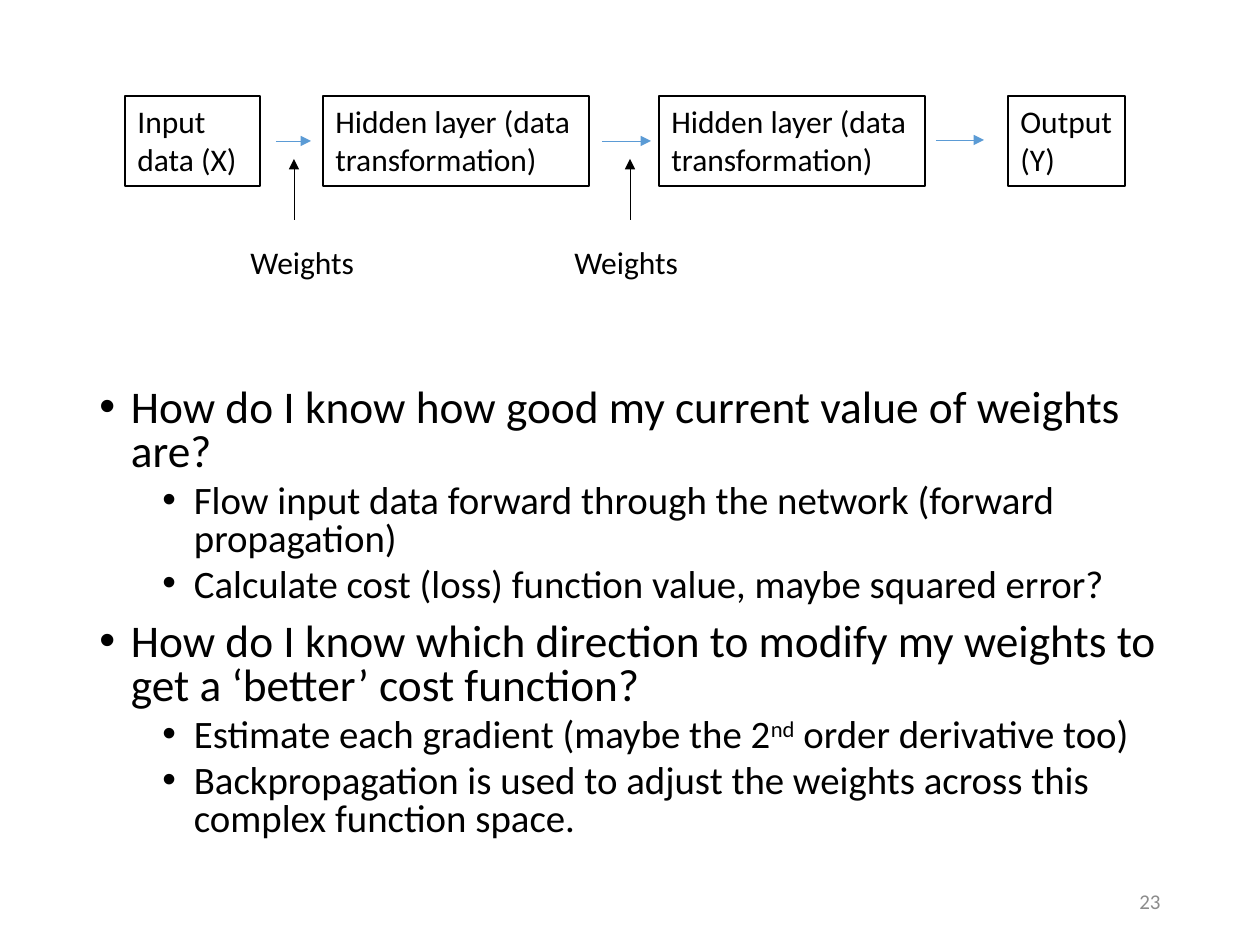
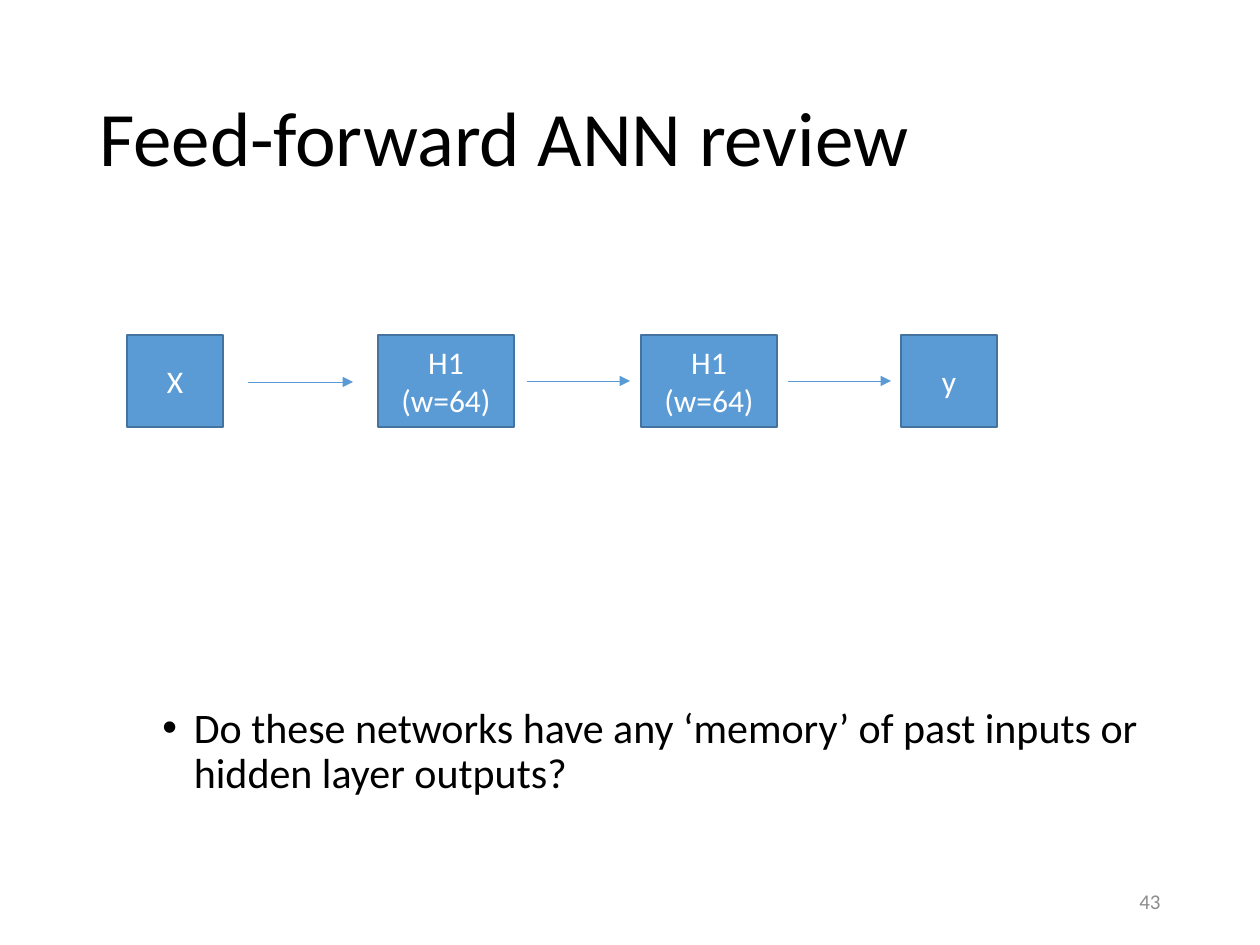
from lxml.etree import SubElement
from pptx import Presentation
from pptx.dml.color import RGBColor
from pptx.enum.shapes import MSO_CONNECTOR, MSO_SHAPE
from pptx.enum.text import MSO_ANCHOR, PP_ALIGN
from pptx.oxml.ns import qn
from pptx.util import Emu, Pt

FONT = "Calibri"
COLORS = {
    "text": "000000",
    "blue": "5B9BD5",
    "blue_edge": "43739E",
    "white": "FFFFFF",
    "page_number": "8C8C8C",
}
MARGIN, CONTENT_WIDTH = 87, 1086

WEIGHTS_PAGE = {
    "number": "23",
    "layers": [
        ("Input data (X)", 125, 135),
        ("Hidden layer (data transformation)", 323, 266),
        ("Hidden layer (data transformation)", 659, 266),
        ("Output (Y)", 1008, 117),
    ],
    "layer_top": 96,
    "layer_height": 90,
    "flows": [(276, 311, 141), (602, 651, 141), (936, 984, 140)],
    "weights": [("Weights", 238, 294), ("Weights", 562, 630)],
    "bullets": [
        (0, ["How do I know how good my current value of weights are?"]),
        (1, ["Flow input data forward through the network (forward propagation)"]),
        (1, ["Calculate cost (loss) function value, maybe squared error?"]),
        (0, ["How do I know which direction to modify my weights to get a ‘better’ cost function?"]),
        (1, ["Estimate each gradient (maybe the 2", "nd", " order derivative too)"]),
        (1, ["Backpropagation is used to adjust the weights across this complex function space."]),
    ],
    "bullet_area": (383, 503),
    "bullet_sizes": (25.9, 22.2),
    "line_spacing": 0.8,
}
REVIEW_PAGE = {
    "number": "43",
    "title": "Feed-forward ANN review",
    "layers": [
        ("X", 127, 96),
        ("H1 (w=64)", 378, 136),
        ("H1 (w=64)", 641, 136),
        ("y", 901, 96),
    ],
    "layer_top": 335,
    "layer_height": 92,
    "flows": [(248, 353, 382), (527, 630, 381), (788, 891, 381)],
    "weights": [],
    "bullets": [
        (1, ["Do these networks have any ‘memory’ of past inputs or hidden layer outputs?"]),
    ],
    "bullet_area": (701, 150),
    "bullet_sizes": (28, 24),
    "line_spacing": 0.9,
    "filled": True,
}


def px(length):
    return Emu(round(length * 914400 / 126))


def color(name):
    return RGBColor.from_string(COLORS[name])


def style(paragraph, size, color_name="text", align=PP_ALIGN.LEFT):
    paragraph.alignment = align
    paragraph.font.name = FONT
    paragraph.font.size = Pt(size)
    paragraph.font.color.rgb = color(color_name)


def add_text(page, text, area, size, color_name="text", align=PP_ALIGN.LEFT,
             anchor=MSO_ANCHOR.TOP, wrap=True):
    box = page.shapes.add_textbox(*map(px, area))
    frame = box.text_frame
    frame.word_wrap = wrap
    frame.vertical_anchor = anchor
    paragraph = frame.paragraphs[0]
    paragraph.text = text
    style(paragraph, size, color_name, align)
    return paragraph


def add_layer(page, text, area, filled):
    box = page.shapes.add_shape(MSO_SHAPE.RECTANGLE, *map(px, area))
    box.shadow.inherit = False
    if filled:
        box.fill.solid()
        box.fill.fore_color.rgb = color("blue")
    else:
        box.fill.background()
    box.line.color.rgb = color("blue_edge" if filled else "text")
    box.line.width = Pt(1 if filled else 0.75)
    frame = box.text_frame
    frame.word_wrap = True
    frame.vertical_anchor = MSO_ANCHOR.MIDDLE if filled else MSO_ANCHOR.TOP
    paragraph = frame.paragraphs[0]
    paragraph.text = text
    style(paragraph, 18, "white" if filled else "text",
          PP_ALIGN.CENTER if filled else PP_ALIGN.LEFT)


def add_arrow(page, start, end, color_name):
    arrow = page.shapes.add_connector(MSO_CONNECTOR.STRAIGHT, *map(px, start + end))
    arrow.line.color.rgb = color(color_name)
    arrow.line.width = Pt(0.5)
    SubElement(arrow.line._get_or_add_ln(), qn("a:tailEnd"), type="triangle")
    SubElement(arrow._element.spPr, qn("a:effectLst"))


def add_bullets(page, content):
    top, height = content["bullet_area"]
    box = page.shapes.add_textbox(*map(px, (MARGIN, top, CONTENT_WIDTH, height)))
    frame = box.text_frame
    frame.word_wrap = True
    for index, (level, parts) in enumerate(content["bullets"]):
        paragraph = frame.paragraphs[0] if index == 0 else frame.add_paragraph()
        paragraph.level = level
        paragraph.line_spacing = content["line_spacing"]
        paragraph.space_before = Pt(5 if level else 10)
        style(paragraph, content["bullet_sizes"][level])
        properties = paragraph._p.get_or_add_pPr()
        properties.set("marL", str(228600 + 457200 * level))
        properties.set("indent", "-228600")
        bullet_font = SubElement(properties, qn("a:buFont"), typeface="Arial")
        bullet = SubElement(properties, qn("a:buChar"), char="•")
        run_defaults = properties.find(qn("a:defRPr"))
        run_defaults.addprevious(bullet_font)
        run_defaults.addprevious(bullet)
        for part in parts:
            span = paragraph.add_run()
            span.text = part
            if part == "nd":
                span._r.get_or_add_rPr().set("baseline", "30000")


def build_page(deck, content):
    page = deck.slides.add_slide(deck.slide_layouts[6])
    if "title" in content:
        title = add_text(page, content["title"], (MARGIN, 50, CONTENT_WIDTH, 183), 44,
                         anchor=MSO_ANCHOR.MIDDLE)
        title.line_spacing = 0.9
    add_bullets(page, content)
    for text, left, width in content["layers"]:
        area = (left, content["layer_top"], width, content["layer_height"])
        add_layer(page, text, area, content.get("filled", False))
    for left, right, y in content["flows"]:
        add_arrow(page, (left, y), (right, y), "blue")
    for text, left, arrow_x in content["weights"]:
        add_text(page, text, (left, 237, 130, 50), 18, wrap=False)
        add_arrow(page, (arrow_x, 220), (arrow_x, 159), "text")
    add_text(page, content["number"], (890, 876, 283, 50), 12, "page_number",
             PP_ALIGN.RIGHT, MSO_ANCHOR.MIDDLE)


def main():
    deck = Presentation()
    deck.slide_width, deck.slide_height = px(1260), px(945)
    for content in (WEIGHTS_PAGE, REVIEW_PAGE):
        build_page(deck, content)
    deck.save("out.pptx")


if __name__ == "__main__":
    main()
